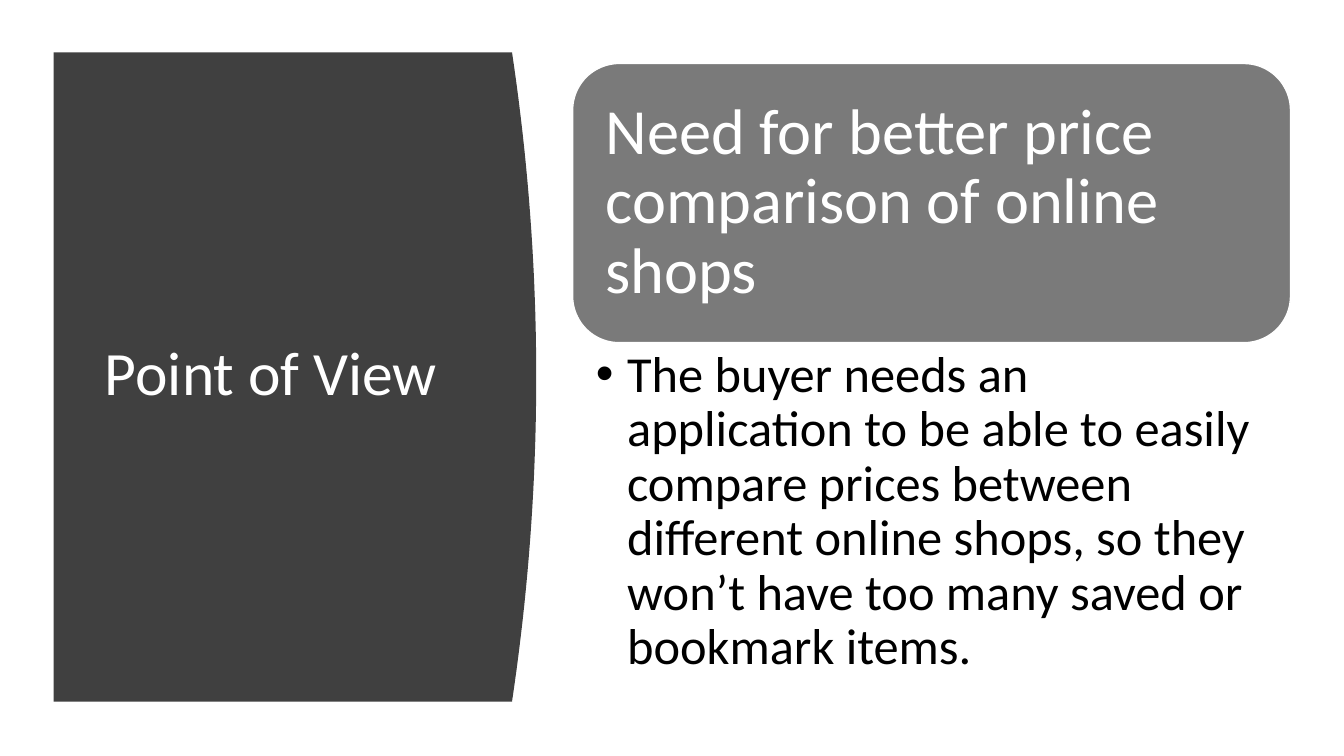
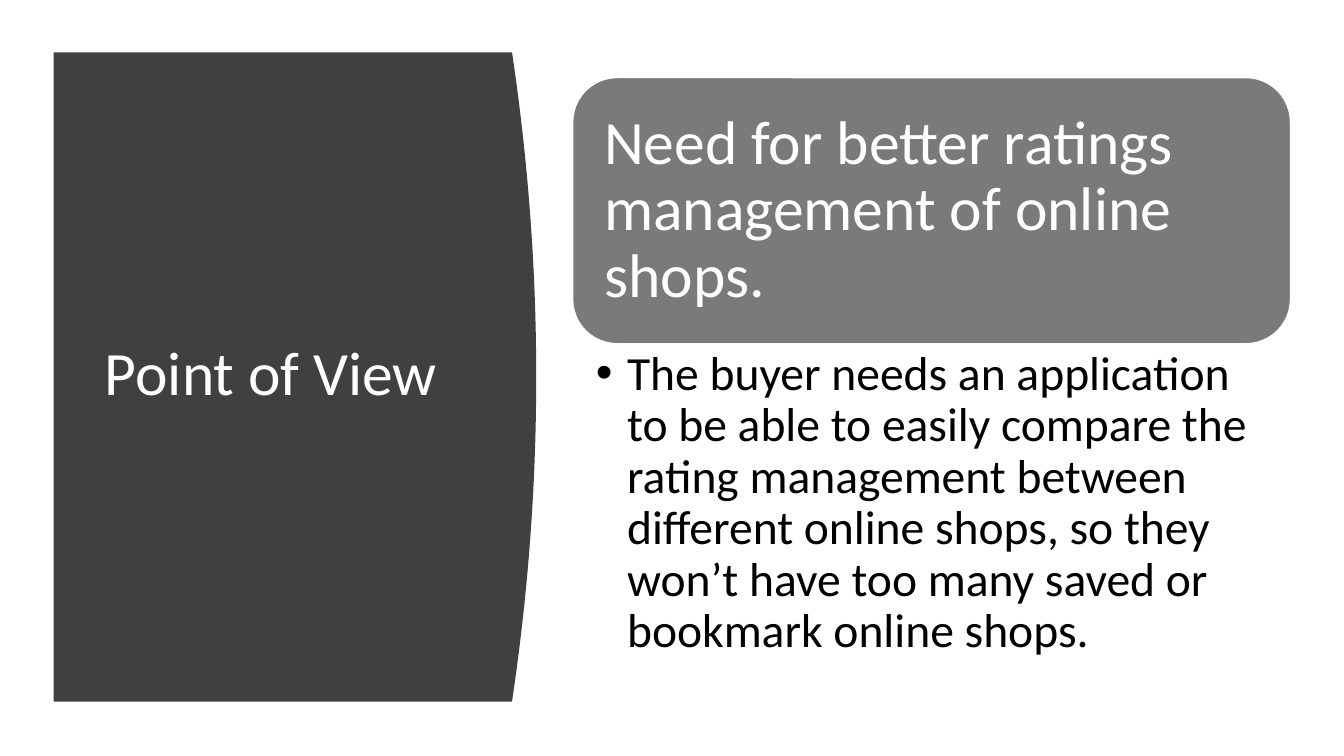
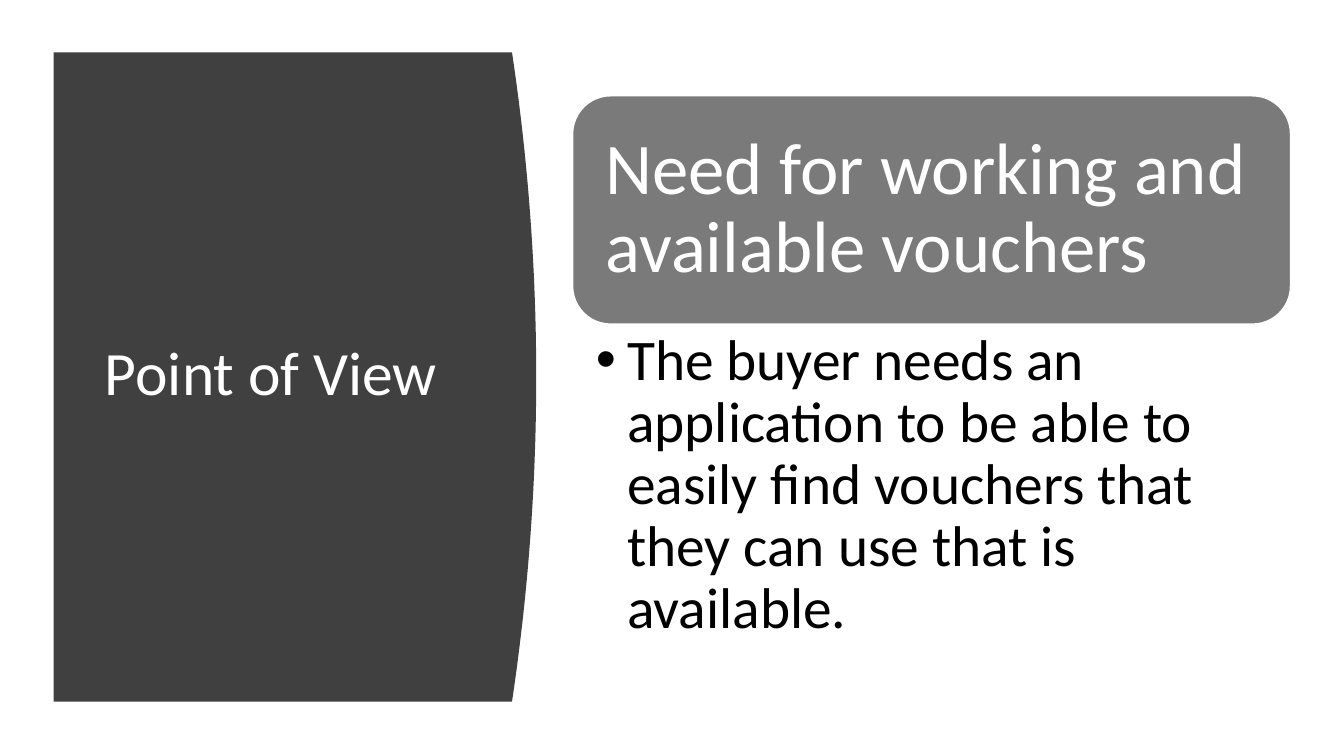
import pptx
import pptx.dml.color
import pptx.enum.shapes
import pptx.enum.text
import pptx.oxml
import pptx.oxml.ns
import pptx.util

FONT = "Calibri"
WHITE, BLACK, PANEL_GREY, HEADING_GREY = "FFFFFF", "000000", "404040", "7A7A7A"
SLIDE_WIDTH, SLIDE_HEIGHT = pptx.util.Inches(13.33), pptx.util.Inches(7.5)
TITLE = "Point of View"

# Lengths are percentages of the slide's width and height.
PANEL_LEFT, PANEL_EDGE, PANEL_PEAK = 4, 38.1, 39.9
PANEL_TOP, PANEL_HEIGHT = 6.93, 85.87
TITLE_AREA = (7.05, 14.8, 28.06, 69.87)
COLUMN_LEFT, COLUMN_WIDTH = 42.61, 53.41

# Each view: heading, its size, top and height; need, its size and height.
VIEWS = [
    ("Need for better price comparison of online shops", 46, 8.4, 36.93,
     "The buyer needs an application to be able to easily compare prices between "
     "different online shops, so they won’t have too many saved or bookmark items.",
     36, 45.87),
    ("Need for better ratings management of online shops.", 44, 10.27, 35.2,
     "The buyer needs an application to be able to easily compare the rating "
     "management between different online shops, so they won’t have too many saved "
     "or bookmark online shops.",
     34, 43.87),
    ("Need for working and available vouchers", 52, 12.67, 30.2,
     "The buyer needs an application to be able to easily find vouchers that they "
     "can use that is available.",
     41, 44),
]


def across(share):
    return round(SLIDE_WIDTH * share / 100)


def down(share):
    return round(SLIDE_HEIGHT * share / 100)


def color(value):
    return pptx.dml.color.RGBColor.from_string(value)


def fill(shape, value):
    shape.fill.solid()
    shape.fill.fore_color.rgb = color(value)
    shape.shadow.inherit = False


def place(shape, left, top, width, height):
    shape.left, shape.top = across(left), down(top)
    shape.width, shape.height = across(width), down(height)


def write(shape, text, size, text_color, anchor, insets):
    """Fill a shape with one left-aligned paragraph; insets are in inches."""
    frame = shape.text_frame
    frame.text = text
    frame.word_wrap = True
    frame.auto_size = pptx.enum.text.MSO_AUTO_SIZE.NONE
    frame.vertical_anchor = anchor
    (frame.margin_left, frame.margin_top,
     frame.margin_right, frame.margin_bottom) = map(pptx.util.Inches, insets)
    paragraph = frame.paragraphs[0]
    paragraph.alignment = pptx.enum.text.PP_ALIGN.LEFT
    paragraph.line_spacing = 0.9
    paragraph.space_before = pptx.util.Pt(0)
    paragraph.font.name = FONT
    paragraph.font.size = pptx.util.Pt(size)
    paragraph.font.color.rgb = color(text_color)
    return paragraph


def add_panel(slide, steps=40):
    """Draw the dark panel, its right side a parabola, behind the placeholders."""
    curve = []
    for step in range(steps + 1):
        offset = 2 * step / steps - 1
        edge = PANEL_PEAK - (PANEL_PEAK - PANEL_EDGE) * offset ** 2
        curve.append((across(edge), down(PANEL_TOP + PANEL_HEIGHT * step / steps)))
    left = across(PANEL_LEFT)
    outline = slide.shapes.build_freeform(left, down(PANEL_TOP), scale=1.0)
    outline.add_line_segments(curve + [(left, down(PANEL_TOP + PANEL_HEIGHT))], close=True)
    panel = outline.convert_to_shape()
    fill(panel, PANEL_GREY)
    panel.line.fill.background()
    panel.element.getparent().insert(2, panel.element)


def add_title(slide):
    title = slide.shapes.title
    place(title, *TITLE_AREA)
    write(title, TITLE, 44, WHITE, pptx.enum.text.MSO_ANCHOR.MIDDLE, (0.1, 0.05, 0.1, 0.05))


def add_heading(slide, text, size, top, height):
    heading = slide.shapes.add_shape(
        pptx.enum.shapes.MSO_SHAPE.ROUNDED_RECTANGLE, 0, 0, 0, 0)
    place(heading, COLUMN_LEFT, top, COLUMN_WIDTH, height)
    fill(heading, HEADING_GREY)
    heading.line.color.rgb = color(WHITE)
    heading.line.width = pptx.util.Pt(1)
    write(heading, text, size, WHITE, pptx.enum.text.MSO_ANCHOR.MIDDLE, [size / 240] * 4)


def add_need(slide, text, size, top, height):
    need = slide.placeholders[1]
    place(need, COLUMN_LEFT, top, COLUMN_WIDTH, height)
    paragraph = write(need, text, size, BLACK, pptx.enum.text.MSO_ANCHOR.TOP,
                      (0.23, size / 600, size / 100, size / 600))
    indent = pptx.util.Inches(0.31)
    properties = paragraph._p.get_or_add_pPr()
    properties.set("marL", str(indent))
    properties.set("indent", str(-indent))
    bullet = pptx.oxml.parse_xml(
        f'<a:buChar {pptx.oxml.ns.nsdecls("a")} char="•"/>')
    properties.find(pptx.oxml.ns.qn("a:defRPr")).addprevious(bullet)


def main():
    deck = pptx.Presentation()
    deck.slide_width, deck.slide_height = SLIDE_WIDTH, SLIDE_HEIGHT
    for heading, heading_size, top, height, need, need_size, need_height in VIEWS:
        slide = deck.slides.add_slide(deck.slide_layouts[1])
        add_panel(slide)
        add_title(slide)
        add_heading(slide, heading, heading_size, top, height)
        add_need(slide, need, need_size, top + height, need_height)
    deck.save("out.pptx")


if __name__ == "__main__":
    main()
